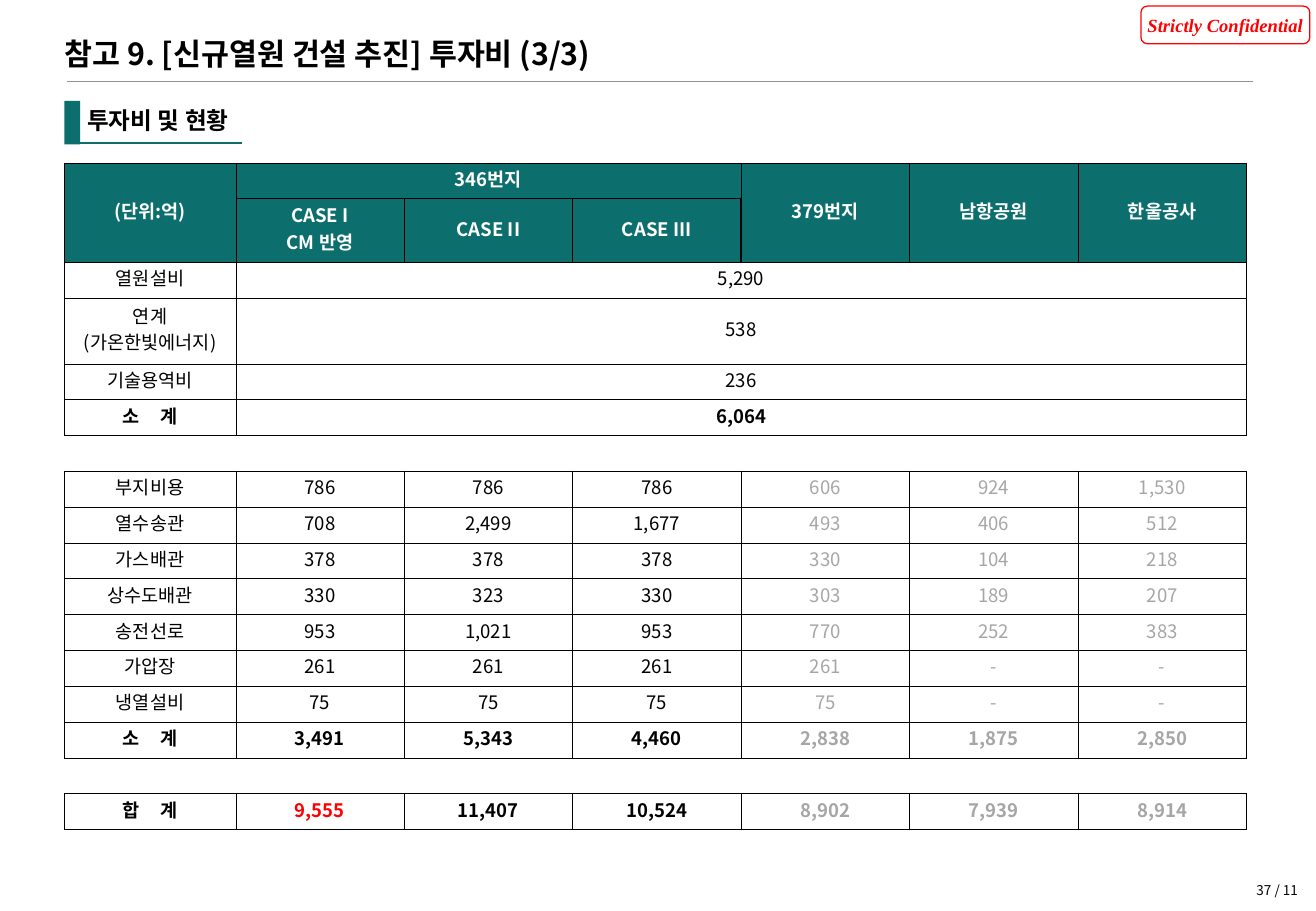
from lxml.etree import SubElement
from pptx import Presentation
from pptx.dml.color import RGBColor
from pptx.enum.shapes import MSO_CONNECTOR, MSO_SHAPE
from pptx.enum.text import MSO_ANCHOR, PP_ALIGN
from pptx.oxml import parse_xml
from pptx.oxml.ns import nsdecls, qn
from pptx.util import Inches, Pt

WIDTH, HEIGHT = Inches(10.83), Inches(7.5)
SANS, SERIF = "Noto Sans CJK KR", "Times New Roman"
COLORS = {"teal": "0D6E6E", "black": "000000", "white": "FFFFFF",
          "red": "FF0000", "muted": "A6A6A6", "rule": "929292"}

HEADER_ROWS = [
    ["(단위:억)", "346번지", "", "", "379번지", "남항공원", "한울공사"],
    ["", "CASE I\nCM 반영", "CASE II", "CASE III", "", "", ""],
]
COMMON_COSTS = [["열원설비", "5,290"], ["연계\v(가온한빛에너지)", "538"],
                ["기술용역비", "236"], ["소 계", "6,064"]]
SITE_COSTS = [
    ["부지비용", "786", "786", "786", "606", "924", "1,530"],
    ["열수송관", "708", "2,499", "1,677", "493", "406", "512"],
    ["가스배관", "378", "378", "378", "330", "104", "218"],
    ["상수도배관", "330", "323", "330", "303", "189", "207"],
    ["송전선로", "953", "1,021", "953", "770", "252", "383"],
    ["가압장", "261", "261", "261", "261", "-", "-"],
    ["냉열설비", "75", "75", "75", "75", "-", "-"],
    ["소 계", "3,491", "5,343", "4,460", "2,838", "1,875", "2,850"],
]
TOTAL = ["합 계", "9,555", "11,407", "10,524", "8,902", "7,939", "8,914"]
SPACER = []
ROWS = HEADER_ROWS + COMMON_COSTS + [SPACER] + SITE_COSTS + [SPACER, TOTAL]
COLUMN_COUNT = 7
FIRST_COLUMN = 14.5                # per cent of the table width
TALL_ROWS = {1: 9.5, 3: 9.9}       # per cent of the table height
SUM_LABELS = ("소 계", "합 계")


def color(name):
    return RGBColor.from_string(COLORS[name])


def across(share):
    return int(WIDTH * share / 100)


def down(share):
    return int(HEIGHT * share / 100)


def area(left, top, width, height):
    """Turn percentages of the slide into lengths."""
    return across(left), down(top), across(width), down(height)


def format_text(frame, size, tint="black", bold=False, italic=False,
                font=SANS, align=PP_ALIGN.LEFT):
    for para in frame.paragraphs:
        para.alignment = align
        for span in para.runs:
            span.font.size = Pt(size)
            span.font.bold, span.font.italic = bold, italic
            span.font.color.rgb = color(tint)
            span.font.name = font
            SubElement(span.font._element, qn("a:ea")).set("typeface", font)


def set_insets(target, left, top, right, bottom):
    target.margin_left, target.margin_top = Inches(left), Inches(top)
    target.margin_right, target.margin_bottom = Inches(right), Inches(bottom)


def add_title(page, text):
    title = page.shapes.title
    title.left, title.top, title.width, title.height = area(4.89, 3.73, 64.08, 4.8)
    frame = title.text_frame
    frame.text = text
    frame.vertical_anchor = MSO_ANCHOR.TOP
    set_insets(frame, 0, 0.05, 0.1, 0.05)
    frame.paragraphs[0].line_spacing = 0.86
    format_text(frame, 18, bold=True)


def add_label(page, place, text, size, **style):
    frame = page.shapes.add_textbox(*area(*place)).text_frame
    frame.word_wrap = True
    set_insets(frame, 0.1, 0.05, 0.1 if "align" in style else 0, 0.05)
    frame.vertical_anchor = MSO_ANCHOR.MIDDLE
    frame.text = text
    format_text(frame, size, **style)


def add_line(page, start, end, level, tint, weight):
    line = page.shapes.add_connector(MSO_CONNECTOR.STRAIGHT, across(start),
                                     down(level), across(end), down(level))
    line.line.color.rgb = color(tint)
    line.line.width = Pt(weight)
    SubElement(line._element.spPr, qn("a:effectLst"))


def add_badge(page, text):
    badge = page.shapes.add_shape(MSO_SHAPE.ROUNDED_RECTANGLE,
                                  *area(86.7, 0.67, 12.83, 4.13))
    badge.shadow.inherit = False
    badge.fill.background()
    badge.line.color.rgb = color("red")
    badge.line.width = Pt(0.75)
    frame = badge.text_frame
    frame.word_wrap = False
    frame.vertical_anchor = MSO_ANCHOR.MIDDLE
    set_insets(frame, 0.08, 0.04, 0.08, 0.04)
    frame.text = text
    format_text(frame, 11, "red", True, True, SERIF, PP_ALIGN.CENTER)


def add_section_bar(page):
    bar = page.shapes.add_shape(MSO_SHAPE.RECTANGLE, *area(4.89, 11.07, 1.2, 4.8))
    bar.shadow.inherit = False
    bar.fill.solid()
    bar.fill.fore_color.rgb = color("teal")
    bar.line.fill.background()


def set_borders(cell, weights):
    """Draw left, right, top and bottom edges; zero hides an edge."""
    for place, (side, weight) in enumerate(zip("LRTB", weights)):
        paint = (f'<a:solidFill><a:srgbClr val="{COLORS["black"]}"/></a:solidFill>'
                 if weight else "<a:noFill/>")
        edge = parse_xml(f'<a:ln{side} {nsdecls("a")} w="{Pt(weight)}">{paint}</a:ln{side}>')
        cell._tc.get_or_add_tcPr().insert(place, edge)


def cell_tint(row, column):
    if row < len(HEADER_ROWS):
        return "white"
    if ROWS[row] is TOTAL and column == 1:
        return "red"
    return "muted" if column > 3 else "black"


def fill_cell(cell, row, column):
    values = ROWS[row]
    header = row < len(HEADER_ROWS)
    cell.vertical_anchor = MSO_ANCHOR.MIDDLE
    set_insets(cell, 0.01, 0.01, 0.01, 0.05)
    if header:
        cell.fill.solid()
        cell.fill.fore_color.rgb = color("teal")
    else:
        cell.fill.background()
    side = 0.25 if values else 0
    left = 1 if (row, column) == (1, 4) else side
    right = 1 if (row, column) == (1, 3) else side
    set_borders(cell, (left, right, 0.25, 0.25))

    text = values[column] if column < len(values) else ""
    if not text:
        # Small end mark keeps an empty row from growing
        SubElement(cell.text_frame.paragraphs[0]._p, qn("a:endParaRPr")).set("sz", "800")
        return
    cell.text_frame.text = text
    bold = header or values[0] in SUM_LABELS
    format_text(cell.text_frame, 11, cell_tint(row, column), bold, align=PP_ALIGN.CENTER)
    if text in SUM_LABELS:
        cell.text_frame.paragraphs[0].runs[0].font._element.set("spc", "500")


def add_cost_table(page):
    left, top, width, height = area(4.89, 17.87, 89.84, 73.2)
    table = page.shapes.add_table(len(ROWS), COLUMN_COUNT, left, top, width, height).table
    table.first_row = table.horz_banding = False

    # Column and row sizes
    other_column = (100 - FIRST_COLUMN) / (COLUMN_COUNT - 1)
    for index, column in enumerate(table.columns):
        column.width = int(width * (other_column if index else FIRST_COLUMN) / 100)
    plain_row = (100 - sum(TALL_ROWS.values())) / (len(ROWS) - len(TALL_ROWS))
    for index, row in enumerate(table.rows):
        row.height = int(height * TALL_ROWS.get(index, plain_row) / 100)

    # Cell contents
    for row in range(len(ROWS)):
        for column in range(COLUMN_COUNT):
            fill_cell(table.cell(row, column), row, column)

    # Merged headings, shared costs and spacers
    for column in (0, 4, 5, 6):
        table.cell(0, column).merge(table.cell(1, column))
    table.cell(0, 1).merge(table.cell(0, 3))
    for row, values in enumerate(ROWS):
        if len(values) < COLUMN_COUNT:
            start = 1 if values else 0
            table.cell(row, start).merge(table.cell(row, COLUMN_COUNT - 1))


def main():
    deck = Presentation()
    deck.slide_width, deck.slide_height = WIDTH, HEIGHT
    page = deck.slides.add_slide(deck.slide_layouts[5])

    # Page frame
    add_badge(page, "Strictly Confidential")
    add_line(page, 5.08, 95.2, 8.93, "rule", 0.5)
    add_label(page, (91.6, 95.87, 7.94, 3.6), "37 / 11", 8, align=PP_ALIGN.RIGHT)
    add_title(page, "참고 9. [신규열원 건설 추진] 투자비 (3/3)")

    # Section heading
    add_section_bar(page)
    add_label(page, (5.72, 10.93, 13.11, 4.53), "투자비 및 현황", 14, bold=True)

    # Investment costs
    add_cost_table(page)
    add_line(page, 6, 18.37, 15.73, "teal", 1)
    deck.save("out.pptx")


if __name__ == "__main__":
    main()
